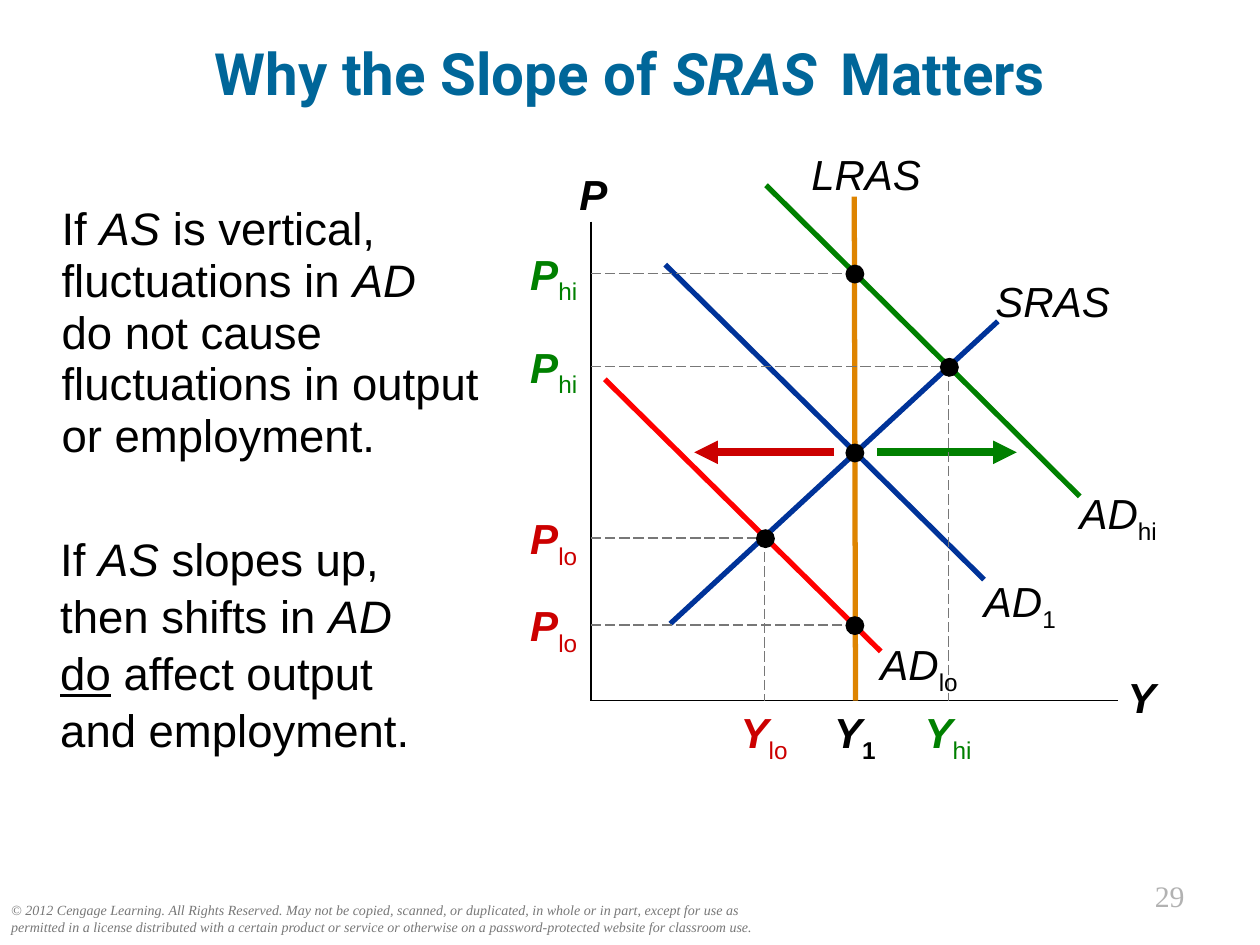
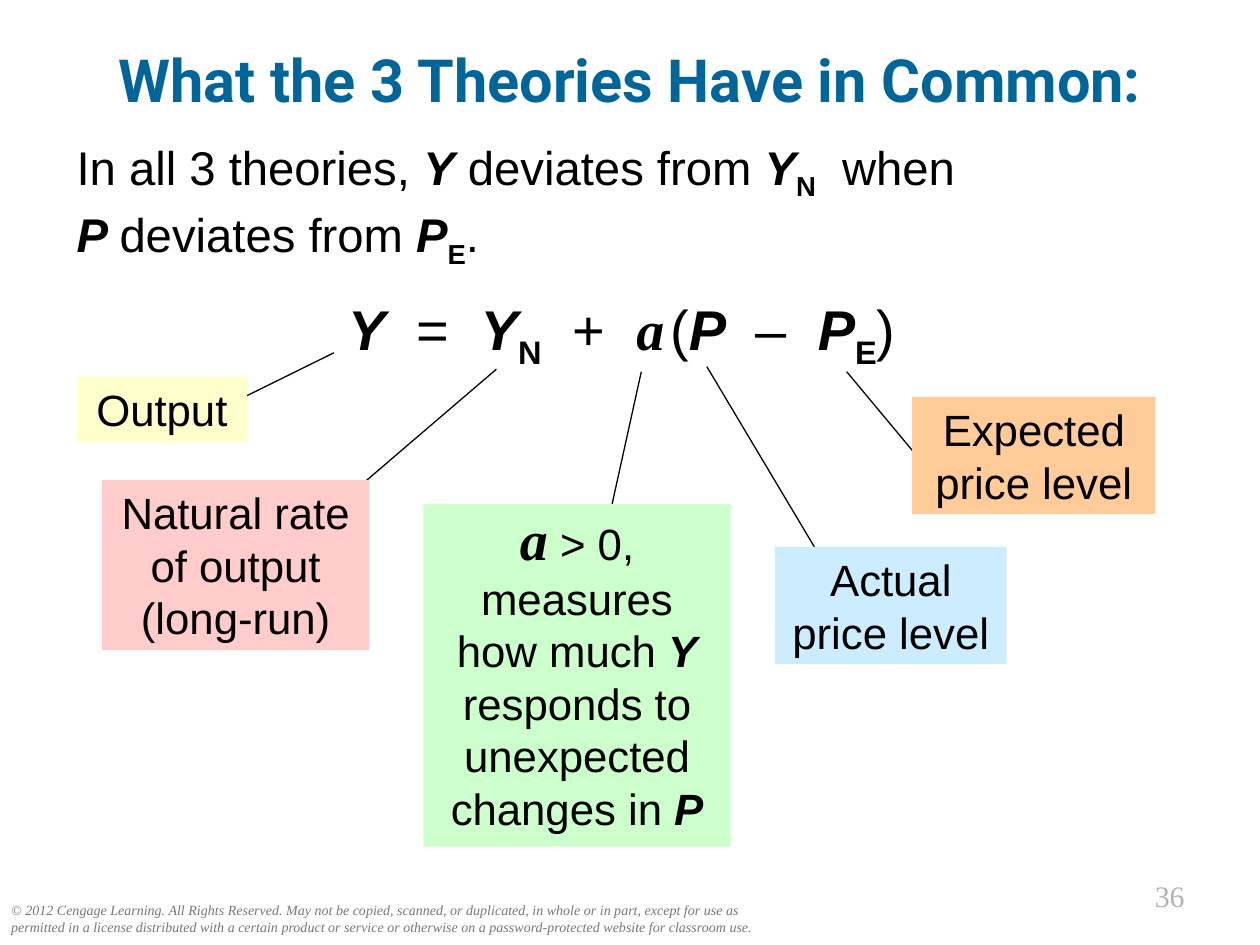
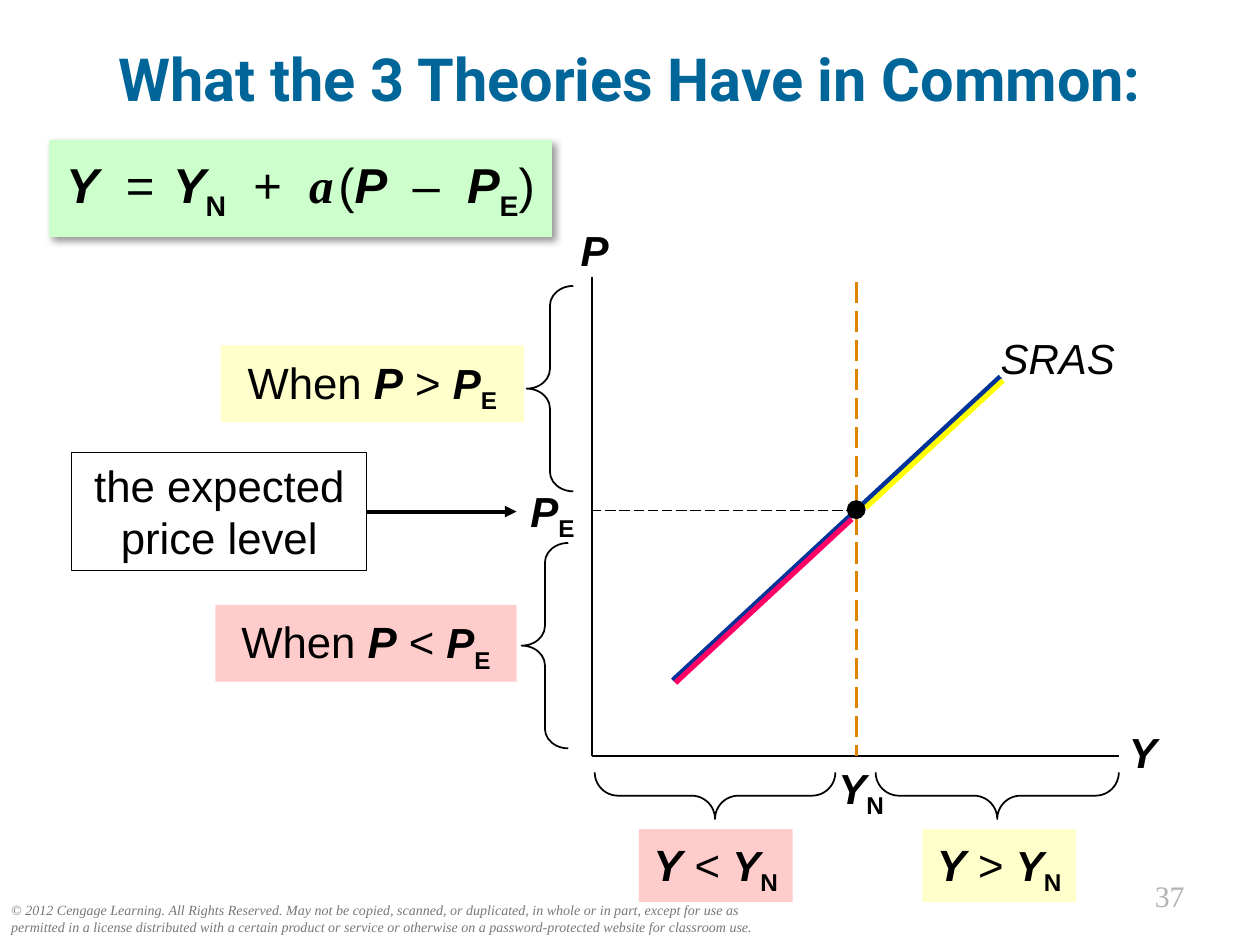
from dataclasses import dataclass, field
from typing import NamedTuple

from lxml.etree import SubElement
from pptx import Presentation
from pptx.dml.color import RGBColor
from pptx.enum.dml import MSO_LINE
from pptx.enum.shapes import MSO_CONNECTOR, MSO_SHAPE
from pptx.enum.text import MSO_ANCHOR, PP_ALIGN
from pptx.oxml.ns import qn
from pptx.util import Inches, Pt

BLACK, GREY, GREEN, RED = "000000", "777777", "008000", "CC0000"
BLUE, ORANGE, TITLE_BLUE, PAGE_GREY = "003399", "DE8400", "006699", "B2B2B2"
YELLOW_FILL, PINK_FILL, GREEN_FILL = "FFFFCC", "FFCCCC", "CCFFCC"
SERIF = "Times New Roman"
COPYRIGHT = (
    "© 2012 Cengage Learning. All Rights Reserved. May not be copied, scanned, or "
    "duplicated, in whole or in part, except for use as permitted in a license "
    "distributed with a certain product or service or otherwise on a "
    "password-protected website for classroom use."
)


class Piece(NamedTuple):
    """A run of text with its own format values."""

    text: str
    values: dict = {}
    subscript: bool = False


@dataclass
class Box:
    """A text area, filled and outlined on demand."""

    left: float
    top: float
    width: float
    height: float
    pieces: list[Piece]
    size: float = 24
    color: str = BLACK
    font: str = "Arial"
    fill: str | None = None
    outline: str | None = None
    align: PP_ALIGN = PP_ALIGN.CENTER
    anchor: MSO_ANCHOR = MSO_ANCHOR.TOP
    spacing: float = 1.0
    insets: tuple[float, float, float, float] = (0.1, 0.05, 0.1, 0.05)
    values: dict = field(default_factory=dict)


@dataclass
class Segment:
    """A straight line between two points."""

    start: tuple[float, float]
    end: tuple[float, float]
    color: str = BLACK
    width: float = 3
    dashed: bool = False
    arrow: bool = False


@dataclass
class Brace:
    """A curly brace, turned by an angle."""

    left: float
    top: float
    height: float
    bend: float
    angle: float = 0


class Level(NamedTuple):
    """A price level traced from the axis to its equilibrium."""

    output: float
    price: float
    name: str
    color: str
    drops: bool


def rgb(color: str) -> RGBColor:
    """Turn a hex string into a colour."""
    return RGBColor.from_string(color)


def italic(text: str) -> Piece:
    """Make an italic piece."""
    return Piece(text, {"italic": True})


def variable(text: str, **values) -> Piece:
    """Make a bold italic piece."""
    return Piece(text, {"bold": True, "italic": True, **values})


def subscript(text: str, bold: bool = True, **values) -> Piece:
    """Make a lowered piece."""
    return Piece(text, {"bold": bold, **values}, True)


def apply(target: object, values: dict) -> None:
    """Set every named attribute of the target."""
    for name, value in values.items():
        setattr(target, name, value)


def draw_box(slide, box: Box):
    """Draw one text area."""
    place = [Inches(v) for v in (box.left, box.top, box.width, box.height)]
    if box.fill:
        shape = slide.shapes.add_shape(MSO_SHAPE.RECTANGLE, *place)
        shape.shadow.inherit = False
        shape.fill.solid()
        shape.fill.fore_color.rgb = rgb(box.fill)
        if box.outline:
            shape.line.color.rgb = rgb(box.outline)
            shape.line.width = Pt(0.75)
        else:
            shape.line.fill.background()
    else:
        shape = slide.shapes.add_textbox(*place)
    sides = ("margin_left", "margin_top", "margin_right", "margin_bottom")
    margins = {side: Inches(inset) for side, inset in zip(sides, box.insets)}
    frame = shape.text_frame
    apply(frame, {"word_wrap": True, "vertical_anchor": box.anchor, **margins})
    paragraph = frame.paragraphs[0]
    apply(paragraph, {"alignment": box.align, "line_spacing": box.spacing})
    base = {"name": box.font, "size": Pt(box.size), **box.values}
    for piece in box.pieces:
        for index, text in enumerate(piece.text.split("\n")):
            if index:
                paragraph.add_line_break()
            if not text:
                continue
            run = paragraph.add_run()
            run.text = text
            apply(run.font, {**base, **piece.values})
            run.font.color.rgb = rgb(box.color)
            if piece.subscript:
                run._r.get_or_add_rPr().set("baseline", "-25000")
    return shape


def draw_segment(slide, segment: Segment) -> None:
    """Draw one line or arrow."""
    ends = [Inches(v) for v in (*segment.start, *segment.end)]
    connector = slide.shapes.add_connector(MSO_CONNECTOR.STRAIGHT, *ends)
    connector.line.color.rgb = rgb(segment.color)
    connector.line.width = Pt(segment.width)
    if segment.dashed:
        connector.line.dash_style = MSO_LINE.LONG_DASH
    properties = connector._element.spPr
    if segment.arrow:
        SubElement(properties.find(qn("a:ln")), qn("a:tailEnd"), type="triangle")
    SubElement(properties, qn("a:effectLst"))


def draw_dot(slide, x: float, y: float) -> None:
    """Mark an equilibrium point."""
    place = [Inches(v) for v in (x - 0.07, y - 0.07, 0.15, 0.15)]
    dot = slide.shapes.add_shape(MSO_SHAPE.OVAL, *place)
    dot.shadow.inherit = False
    dot.fill.solid()
    dot.fill.fore_color.rgb = rgb(BLACK)
    dot.line.fill.background()


def draw_brace(slide, brace: Brace) -> None:
    """Draw one curly brace."""
    place = [Inches(v) for v in (brace.left, brace.top, 0.37, brace.height)]
    shape = slide.shapes.add_shape(MSO_SHAPE.LEFT_BRACE, *place)
    shape.shadow.inherit = False
    shape.adjustments[0] = brace.bend
    shape.rotation = brace.angle
    shape.fill.background()
    shape.line.color.rgb = rgb(BLACK)
    shape.line.width = Pt(1)


def draw_all(slide, segments: list[Segment], boxes: list[Box]) -> None:
    """Draw the lines first and the text over them."""
    for segment in segments:
        draw_segment(slide, segment)
    for box in boxes:
        draw_box(slide, box)


def draw_axes(slide, x: float, y: float) -> None:
    """Draw the price and output axes from their origin."""
    draw_all(
        slide,
        [
            Segment((x, y - 3.8), (x, y), width=1),
            Segment((x, y), (x + 4.18, y), width=1),
        ],
        [
            Box(x - 0.21, y - 4.27, 0.46, 0.5, [variable("P")]),
            Box(x + 4.12, y - 0.28, 0.5, 0.5, [variable("Y")]),
        ],
    )


def tick(left: float, top: float, pieces: list[Piece], color: str = BLACK) -> Box:
    """Make an axis label without margins."""
    return Box(left, top, 0.53, 0.4, pieces, color=color, insets=(0, 0, 0, 0))


def equation(size: float, gap: float, equals: list[Piece]) -> list[Piece]:
    """Make the pieces of the supply equation."""
    return [
        variable("Y"), *equals, variable("Y"), subscript("N"), Piece("  +  "),
        variable("a", name=SERIF), Piece(" ", {"size": Pt(gap)}), Piece("("),
        variable("P  "), Piece("–  "), variable("P"), subscript("E"), Piece(")"),
    ]


def start_slide(presentation, title: list[Piece], top: float, size: float, page: int):
    """Add a slide with its footer, page number and title."""
    slide = presentation.slides.add_slide(presentation.slide_layouts[6])
    left, right, middle = PP_ALIGN.LEFT, PP_ALIGN.RIGHT, MSO_ANCHOR.MIDDLE
    draw_all(slide, [], [
        Box(-0.01, 7.11, 6.18, 0.37, [italic(COPYRIGHT)], 8, GREY, SERIF, align=left),
        Box(8.25, 6.92, 1.25, 0.39, [Piece(str(page))], 17, PAGE_GREY, SERIF,
            align=right),
        Box(0, top, 10, 0.71, title, size, TITLE_BLUE, "Roboto", anchor=middle,
            values={"bold": True}),
    ])
    return slide


def build_slope(presentation) -> None:
    """Build the slide on the slope of the supply curve."""
    title = [
        Piece("Why the Slope of "), italic("SRAS "),
        Piece(" ", {"size": Pt(21.6)}), Piece("Matters"),
    ]
    slide = start_slide(presentation, title, 0.22, 33.3, 29)
    axis_x, axis_y = 4.69, 5.56
    draw_axes(slide, axis_x, axis_y)
    levels = [
        Level(6.78, 2.17, "hi", GREEN, False),
        Level(7.53, 2.91, "hi", GREEN, True),
        Level(6.07, 4.27, "lo", RED, True),
        Level(6.78, 4.96, "lo", RED, False),
    ]
    segments = [
        Segment((5.28, 2.1), (7.81, 4.6), BLUE),
        Segment((5.32, 4.95), (7.92, 2.55), BLUE),
        Segment((6.78, 1.56), (6.79, axis_y), ORANGE),
        Segment((6.08, 1.47), (8.57, 3.94), GREEN),
        Segment((4.8, 3.01), (6.99, 5.17), "FF0000"),
        Segment((6.96, 3.59), (8.07, 3.59), GREEN, 4.5, arrow=True),
        Segment((6.62, 3.59), (5.51, 3.59), RED, 4.5, arrow=True),
    ]
    boxes = [
        Box(0.39, 1.57, 3.78, 2.36, [
            Piece("If "), italic("AS"), Piece(" is vertical, fluctuations in "),
            italic("AD \n"),
            Piece("do not cause fluctuations in output or employment."),
        ], 26, align=PP_ALIGN.LEFT, spacing=0.95),
        Box(0.38, 4.14, 3.36, 2.02, [
            Piece("If "), italic("AS"), Piece(" slopes up, \nthen shifts in "),
            italic("AD \n"), Piece("do", {"underline": True}),
            Piece(" affect output and employment."),
        ], 26, align=PP_ALIGN.LEFT, spacing=1.05),
        Box(7.77, 2.14, 1.17, 0.5, [italic("SRAS")]),
        Box(6.36, 1.18, 1.03, 0.4, [italic("LRAS")], insets=(0, 0, 0, 0)),
        tick(6.52, 5.61, [variable("Y"), subscript("1")]),
    ]
    for left, top, name in ((7.66, 4.52, "1"), (8.44, 3.82, "hi"), (6.86, 5.02, "lo")):
        pieces = [italic("AD"), subscript(name, False)]
        boxes.append(Box(left, top, 0.87, 0.5, pieces))
    for level in levels:
        point = (level.output, level.price)
        lowered = subscript(level.name, False)
        segments.append(Segment((axis_x, level.price), point, GREY, 0.75, True))
        boxes.append(
            tick(4.13, level.price - 0.2, [variable("P"), lowered], level.color)
        )
        if level.drops:
            foot = (level.output, axis_y)
            segments.append(Segment(point, foot, GREY, 0.75, True))
            boxes.append(
                tick(level.output - 0.27, 5.61, [variable("Y"), lowered], level.color)
            )
    draw_all(slide, segments, boxes)
    for x, y in [(6.78, 3.59), *(level[:2] for level in levels)]:
        draw_dot(slide, x, y)


def build_equation(presentation) -> None:
    """Build the slide that names each term of the equation."""
    title = [Piece("What the 3 Theories Have in Common:")]
    slide = start_slide(presentation, title, 0.27, 34, 36)
    segments = [
        Segment(start, end, width=0.75)
        for start, end in (
            ((1.94, 3.15), (2.65, 2.8)),
            ((2.48, 4.18), (3.94, 2.93)),
            ((5.09, 2.95), (4.77, 4.4)),
            ((6.63, 4.62), (5.61, 2.91)),
            ((7.27, 3.61), (6.72, 2.95)),
        )
    ]
    measure = [
        variable("a", name=SERIF, size=Pt(32)), Piece(" > 0, measures how much "),
        variable("Y"), Piece(" responds to unexpected changes in "), variable("P"),
    ]
    boxes = [
        Box(0.51, 1.02, 9, 1.07, [
            Piece("In all 3 theories, "), variable("Y"), Piece(" deviates from "),
            variable("Y"), subscript("N"), Piece("  when \n"), variable("P "),
            Piece("deviates from "), variable("P"), subscript("E"), Piece("."),
        ], 27, align=PP_ALIGN.LEFT, spacing=1.05),
        Box(2.51, 2.25, 4.85, 0.78, equation(32, 12, [Piece("  =  ")]), 32,
            anchor=MSO_ANCHOR.MIDDLE),
        Box(3.36, 4, 2.44, 2.72, measure, 25, fill=GREEN_FILL,
            anchor=MSO_ANCHOR.MIDDLE, insets=(0.1, 0, 0.1, 0.1)),
    ]
    for left, top, width, height, text, fill in (
        (0.61, 2.99, 1.35, 0.52, "Output", YELLOW_FILL),
        (0.81, 3.81, 2.12, 1.35, "Natural rate of output (long-run)", PINK_FILL),
        (6.15, 4.34, 1.84, 0.93, "Actual price level", "CCECFF"),
        (7.24, 3.15, 1.93, 0.93, "Expected price level", "FFCC99"),
    ):
        boxes.append(Box(left, top, width, height, [Piece(text)], 25, fill=fill))
    draw_all(slide, segments, boxes)


def build_supply(presentation) -> None:
    """Build the slide with the short-run supply curve."""
    title = [Piece("What the 3 Theories Have in Common:")]
    slide = start_slide(presentation, title, 0.26, 34, 37)
    draw_axes(slide, 4.7, 6)
    segments = [
        Segment((5.34, 5.4), (7.94, 2.99), BLUE),
        Segment((6.8, 2.24), (6.8, 6), ORANGE, 1.5, True),
        Segment((6.8, 4.05), (4.7, 4.05), BLACK, 0.75, True),
        Segment((2.76, 4.06), (4.1, 4.06), BLACK, 2.25, arrow=True),
        Segment((6.87, 4.03), (7.96, 3.02), "FFFF00"),
        Segment((5.36, 5.42), (6.76, 4.12), "FF0066"),
    ]
    boxes = [
        Box(7.75, 2.59, 1.29, 0.5, [italic("SRAS")]),
        tick(6.57, 6.05, [variable("Y"), subscript("N")]),
        tick(4.12, 3.85, [variable("P"), subscript("E")]),
        Box(0.57, 3.59, 2.34, 0.94, [Piece("the expected price level")], 25,
            fill="FFFFFF", outline=BLACK),
    ]
    small = {"size": Pt(24)}
    for left, top, width, height, lead, name, sign, low, fill in (
        (1.75, 2.74, 2.41, 0.61, "When ", "P", ">", "E", YELLOW_FILL),
        (1.71, 4.8, 2.39, 0.61, "When ", "P", "<", "E", PINK_FILL),
        (7.32, 6.58, 1.22, 0.58, "", "Y", ">", "N", YELLOW_FILL),
        (5.07, 6.58, 1.22, 0.58, "", "Y", "<", "N", PINK_FILL),
    ):
        pieces = [
            Piece(lead), variable(name), Piece(f" {sign} "),
            variable(name, **small), subscript(low, **small),
        ]
        boxes.append(Box(left, top, width, height, pieces, 25, fill=fill,
                         anchor=MSO_ANCHOR.MIDDLE, spacing=1.05))
    draw_all(slide, segments, boxes)
    for brace in (
        Brace(4.18, 2.27, 1.63, 0.42),
        Brace(4.14, 4.31, 1.63, 0.42),
        Brace(7.73, 5.35, 1.93, 0.5, 270),
        Brace(5.49, 5.36, 1.91, 0.5, 270),
    ):
        draw_brace(slide, brace)
    draw_dot(slide, 6.79, 4.04)
    equals = [Piece("  = "), Piece(" ", {"size": Pt(10)})]
    card = draw_box(slide, Box(0.39, 1.11, 3.99, 0.77, equation(28, 10, equals), 28,
                               fill=GREEN_FILL, anchor=MSO_ANCHOR.MIDDLE))
    effects = card._element.spPr.find(qn("a:effectLst"))
    shadow = SubElement(effects, qn("a:outerShdw"), blurRad=str(Pt(4)),
                        dist=str(Pt(3)), dir="2700000", algn="tl", rotWithShape="0")
    shade = SubElement(shadow, qn("a:srgbClr"), val=BLACK)
    SubElement(shade, qn("a:alpha"), val="40000")


def main() -> None:
    """Build and save the presentation."""
    presentation = Presentation()
    apply(presentation, {"slide_width": Inches(10), "slide_height": Inches(7.5)})
    for build in (build_slope, build_equation, build_supply):
        build(presentation)
    presentation.save("out.pptx")


if __name__ == "__main__":
    main()
